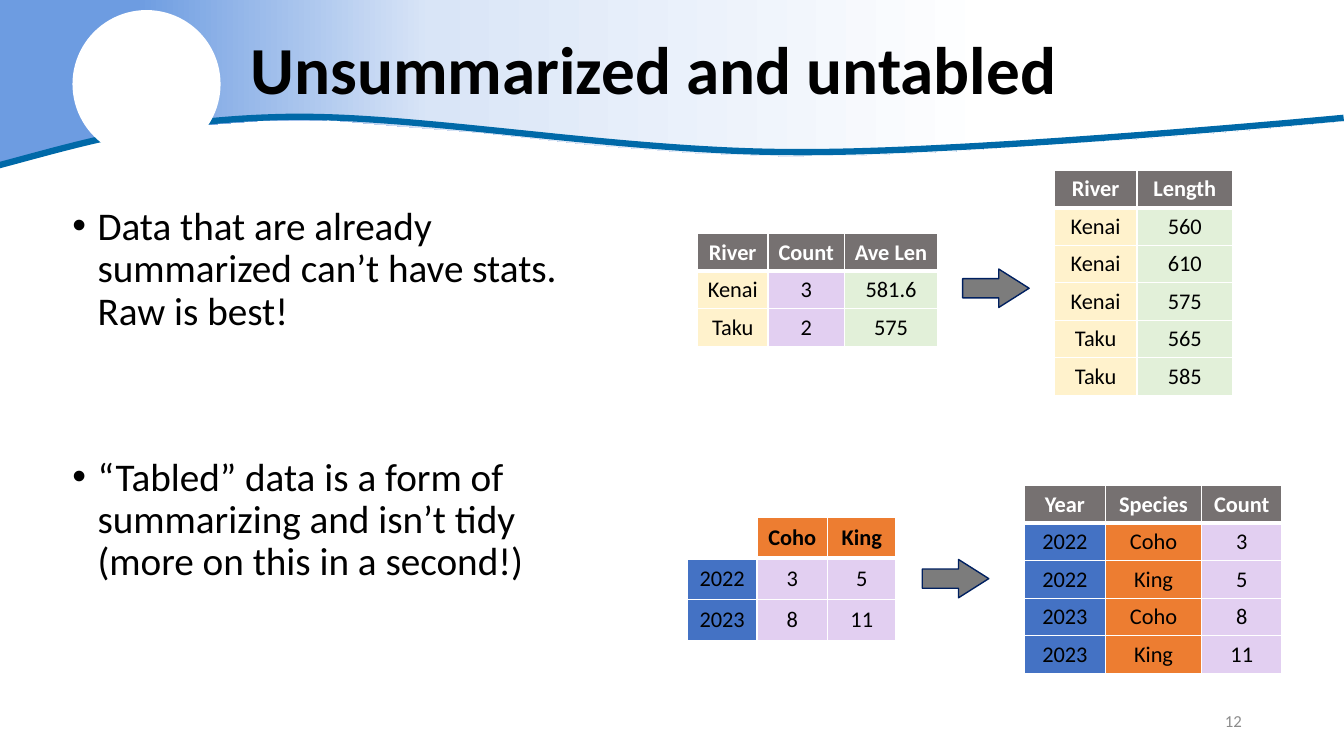
from dataclasses import dataclass

import lxml.etree
import pptx
import pptx.dml.color
import pptx.dml.fill
import pptx.enum.shapes
import pptx.enum.text
import pptx.oxml.ns
import pptx.shapes.base
import pptx.slide
import pptx.text.text
import pptx.util
from copy import deepcopy

Pt = pptx.util.Pt
qn = pptx.oxml.ns.qn
ALIGN = pptx.enum.text.PP_ALIGN
ANCHOR = pptx.enum.text.MSO_ANCHOR
SHAPE = pptx.enum.shapes.MSO_SHAPE

FONT = "Calibri"
BLACK, WHITE, GRAY = "000000", "FFFFFF", "767171"
RIVER, COUNT, LENGTH = "FFF2CC", "E2CFF1", "E2F0D9"
YEAR, SPECIES = "4472C4", "ED7D31"
Point = tuple[float, float]


@dataclass(frozen=True)
class DataTable:
    left: float
    top: float
    widths: list[float]
    row_height: float
    header_fills: list[str]
    header_color: str
    column_fills: list[str]
    rows: list[list[str]]


@dataclass(frozen=True)
class Arrow:
    left: float
    top: float


@dataclass(frozen=True)
class Label:
    left: float
    top: float
    width: float
    height: float
    paragraphs: list[str]
    size: float
    color: str = BLACK
    bold: bool = False
    align: ALIGN = ALIGN.LEFT
    anchor: ANCHOR = ANCHOR.MIDDLE
    line_spacing: float = 1.0
    gap: float = 0
    bullet_indent: float = 0


DATA_TABLES = [
    DataTable(491, 369.4, [49.7, 50.4, 49], 29.3, [WHITE, SPECIES, SPECIES], BLACK,
              [YEAR, COUNT, COUNT],
              [["", "Coho", "King"], ["2022", "3", "5"], ["2023", "8", "11"]]),
    DataTable(731.5, 347, [58.3, 68.4, 57.6], 26.8, [GRAY] * 3, WHITE,
              [YEAR, SPECIES, COUNT],
              [["Year", "Species", "Count"], ["2022", "Coho", "3"], ["2022", "King", "5"],
               ["2023", "Coho", "8"], ["2023", "King", "11"]]),
    DataTable(498.2, 167, [50.4, 54.7, 66.5], 26.8, [GRAY] * 3, WHITE,
              [RIVER, COUNT, LENGTH],
              [["River", "Count", "Ave Len"], ["Kenai", "3", "581.6"], ["Taku", "2", "575"]]),
    DataTable(753.1, 121.7, [59, 68.4], 26.8, [GRAY] * 2, WHITE, [RIVER, LENGTH],
              [["River", "Length"], ["Kenai", "560"], ["Kenai", "610"], ["Kenai", "575"],
               ["Taku", "565"], ["Taku", "585"]]),
]
ARROWS = [Arrow(658.8, 399.6), Arrow(687.6, 192.2)]
LABELS = [
    Label(172, 0, 788, 104.4, ["Unsummarized and untabled"], 48, bold=True, line_spacing=0.9),
    Label(44.6, 144, 405.4, 342.7,
          ["Data that are already summarized can’t have stats. Raw is best!",
           "“Tabled” data is a form of summarizing and isn’t tidy (more on this in a second!)"],
          28, anchor=ANCHOR.TOP, line_spacing=0.9, gap=88.4, bullet_indent=18),
    Label(678.2, 500.4, 216, 28.8, ["12"], 12, "8C8C8C", align=ALIGN.RIGHT),
]
BAND_OUTLINE: list[Point] = [
    (0, 0), (960, 0), (960, 86.4), (891, 93), (823, 98.6), (739, 103.7), (681, 108),
    (615, 110.9), (561, 111.6), (498, 109.4), (425.5, 103.7), (346, 95), (284, 90),
    (235, 85.7), (184, 86.4), (137, 90), (98, 95), (62, 102), (32, 108.7), (0, 118.8),
]
BAND_STOPS = [(0.10, "6D9CE1"), (0.32, "D9E5F7"), (0.74, WHITE)]
WAVE_CURVES: list[list[Point]] = [
    [(-0.7, 118.1), (54, 103.7), (111.6, 85), (206.6, 83.5)],
    [(206.6, 83.5), (301.7, 82.1), (442.8, 108.7), (568.8, 108.7)],
    [(568.8, 108.7), (694, 109.4), (959.8, 84.2), (959.8, 84.2)],
]


def rgb(color: str) -> pptx.dml.color.RGBColor:
    return pptx.dml.color.RGBColor.from_string(color)


def paint(fill: pptx.dml.fill.FillFormat, color: str) -> None:
    fill.solid()
    fill.fore_color.rgb = rgb(color)


def style_font(font: pptx.text.text.Font, size: float, color: str, bold: bool) -> None:
    font.name = FONT
    font.size = Pt(size)
    font.bold = bold
    font.color.rgb = rgb(color)


def curve_points(curve: list[Point], steps: int = 40) -> list[Point]:
    points = []
    for step in range(steps + 1):
        t = step / steps
        weights = [(1 - t) ** 3, 3 * t * (1 - t) ** 2, 3 * t * t * (1 - t), t ** 3]
        x, y = (sum(w * p[axis] for w, p in zip(weights, curve)) for axis in (0, 1))
        points.append((x, y))
    return points


def draw_outline(slide: pptx.slide.Slide, points: list[Point],
                 closed: bool) -> pptx.shapes.base.BaseShape:
    emu = [(Pt(x), Pt(y)) for x, y in points]
    builder = slide.shapes.build_freeform(*emu[0])
    builder.add_line_segments(emu[1:], close=closed)
    outline = builder.convert_to_shape()
    outline.shadow.inherit = False
    return outline


def draw_header(slide: pptx.slide.Slide) -> None:
    band = draw_outline(slide, BAND_OUTLINE, True)
    band.line.fill.background()
    band.fill.gradient()
    band.fill.gradient_angle = 0
    stop_list = band.element.spPr.find(qn("a:gradFill")).find(qn("a:gsLst"))
    stop_list.append(deepcopy(stop_list[0]))
    for stop, (position, color) in zip(band.fill.gradient_stops, BAND_STOPS):
        stop.position = position
        stop.color.rgb = rgb(color)

    wave_points = [point for curve in WAVE_CURVES for point in curve_points(curve)]
    wave = draw_outline(slide, wave_points, False)
    wave.fill.background()
    wave.line.color.rgb = rgb("0069A8")
    wave.line.width = Pt(4.5)

    disc = slide.shapes.add_shape(SHAPE.OVAL, Pt(51.8), Pt(7.2), Pt(105.8), Pt(105.8))
    disc.shadow.inherit = False
    paint(disc.fill, WHITE)
    disc.line.fill.background()


def draw_label(slide: pptx.slide.Slide, label: Label) -> None:
    box = slide.shapes.add_textbox(Pt(label.left), Pt(label.top), Pt(label.width), Pt(label.height))
    frame = box.text_frame
    frame.text = "\n".join(label.paragraphs)
    frame.word_wrap = True
    frame.vertical_anchor = label.anchor
    for index, paragraph in enumerate(frame.paragraphs):
        paragraph.alignment = label.align
        paragraph.line_spacing = label.line_spacing
        paragraph.space_before = Pt(label.gap if index else 0)
        style_font(paragraph.runs[0].font, label.size, label.color, label.bold)
        if label.bullet_indent:
            properties = paragraph._p.get_or_add_pPr()
            properties.set("marL", str(Pt(label.bullet_indent)))
            properties.set("indent", str(-Pt(label.bullet_indent)))
            lxml.etree.SubElement(properties, qn("a:buFont"), typeface="Arial")
            lxml.etree.SubElement(properties, qn("a:buChar"), char="•")


def draw_table(slide: pptx.slide.Slide, data: DataTable) -> None:
    grid = slide.shapes.add_table(
        len(data.rows), len(data.widths), Pt(data.left), Pt(data.top),
        Pt(sum(data.widths)), Pt(data.row_height * len(data.rows))).table
    grid.horz_banding = False
    for column, width in zip(grid.columns, data.widths):
        column.width = Pt(width)
    for r, values in enumerate(data.rows):
        header = r == 0
        grid.rows[r].height = Pt(data.row_height)
        fills = data.header_fills if header else data.column_fills
        for c, (value, color) in enumerate(zip(values, fills)):
            cell = grid.cell(r, c)
            cell.text = value
            cell.vertical_anchor = ANCHOR.MIDDLE
            paragraph = cell.text_frame.paragraphs[0]
            paragraph.alignment = ALIGN.CENTER
            for run in paragraph.runs:
                style_font(run.font, 16, data.header_color if header else BLACK, header)
            properties = cell._tc.get_or_add_tcPr()
            for side in ("lnL", "lnR", "lnT", "lnB"):
                thick = (header and side == "lnB") or (r == 1 and side == "lnT")
                border = lxml.etree.SubElement(properties, qn(f"a:{side}"), w=str(Pt(3 if thick else 1)))
                solid = lxml.etree.SubElement(border, qn("a:solidFill"))
                lxml.etree.SubElement(solid, qn("a:srgbClr"), val=WHITE)
            paint(cell.fill, color)


def draw_arrow(slide: pptx.slide.Slide, arrow: Arrow) -> None:
    block = slide.shapes.add_shape(SHAPE.RIGHT_ARROW, Pt(arrow.left), Pt(arrow.top), Pt(47.5), Pt(27.4))
    block.shadow.inherit = False
    block.adjustments[1] = 0.79
    paint(block.fill, "7C7C7C")
    block.line.color.rgb = rgb("002060")
    block.line.width = Pt(1)


def main() -> None:
    deck = pptx.Presentation()
    deck.slide_width, deck.slide_height = Pt(960), Pt(540)
    slide = deck.slides.add_slide(deck.slide_layouts[6])
    draw_header(slide)
    for label in LABELS:
        draw_label(slide, label)
    for data in DATA_TABLES:
        draw_table(slide, data)
    for arrow in ARROWS:
        draw_arrow(slide, arrow)
    deck.save("out.pptx")


if __name__ == "__main__":
    main()
